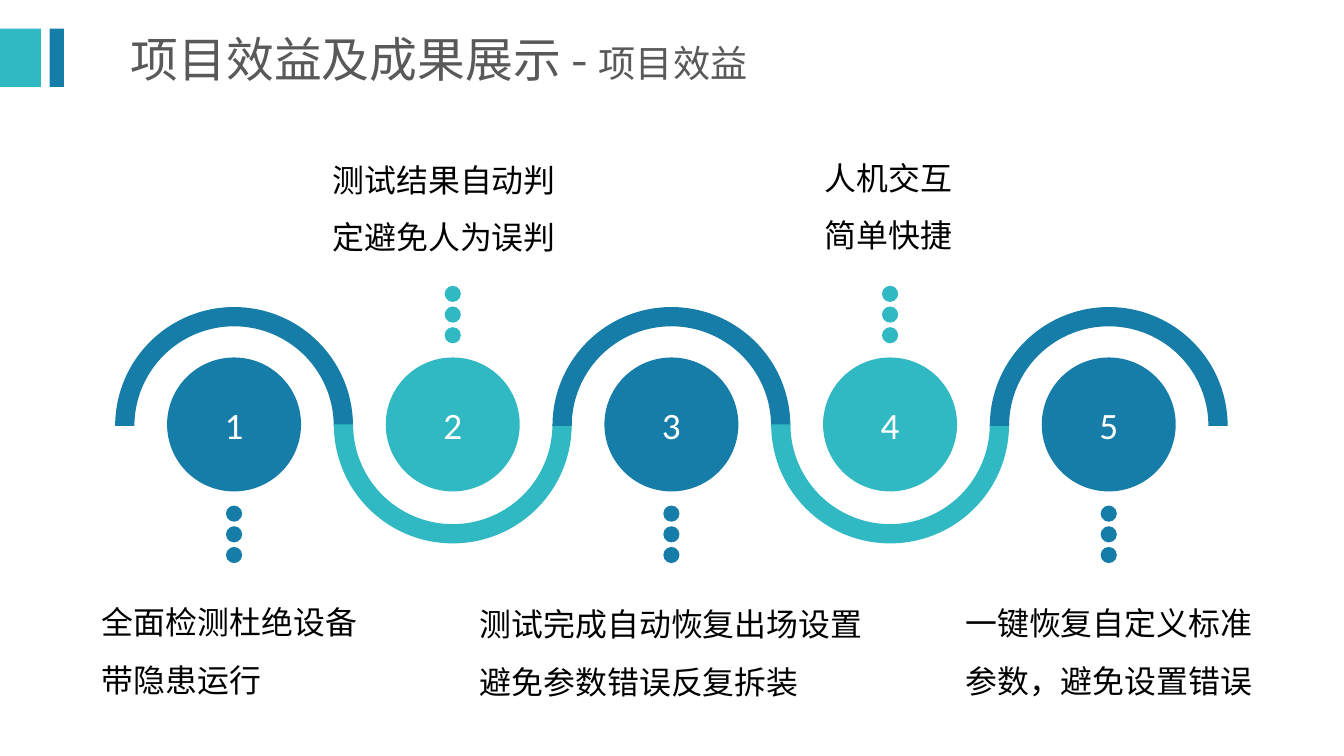
from pptx import Presentation
from pptx.dml.color import RGBColor
from pptx.enum.shapes import MSO_SHAPE as Shape
from pptx.enum.text import MSO_ANCHOR as Anchor, PP_ALIGN as Align
from pptx.util import Cm, Pt

BLUE = RGBColor(0x16, 0x7D, 0xA8)
TEAL = RGBColor(0x30, 0xB9, 0xC3)
GREY = RGBColor(0x59, 0x59, 0x59)
BLACK = RGBColor(0, 0, 0)
WHITE = RGBColor(0xFF, 0xFF, 0xFF)

FIRST_X, PITCH, MIDDLE_Y = 6.22, 5.81, 11.28
CIRCLE, ARC, DOT = 3.56, 6.32, 0.43
DOT_START, DOT_STEP = 2.37, 0.55
CAPTION_HEIGHT = 3.33

# Caption text, left, top and width in cm
STEPS = [
    ("全面检测杜绝设备带隐患运行", 2.46, 15.39, 7.42),
    ("测试结果自动判定避免人为误判", 8.59, 3.63, 6.81),
    ("测试完成自动恢复出场设置避免参数错误反复拆装", 12.5, 15.44, 10.77),
    ("人机交互简单快捷", 21.67, 3.58, 4.09),
    ("一键恢复自定义标准参数，避免设置错误", 25.4, 15.42, 8.15),
]

deck = Presentation()
deck.slide_width, deck.slide_height = Cm(35.71), Cm(20.09)
page = deck.slides.add_slide(deck.slide_layouts[6])


def add_filled(kind, left, top, width, height, color):
    shape = page.shapes.add_shape(kind, Cm(left), Cm(top), Cm(width), Cm(height))
    shape.shadow.inherit = False
    shape.fill.solid()
    shape.fill.fore_color.rgb = color
    shape.line.fill.background()
    return shape


def add_centred(kind, x, y, size, color):
    """Add a square-framed shape around the point x, y."""
    return add_filled(kind, x - size / 2, y - size / 2, size, size, color)


# Header
add_filled(Shape.RECTANGLE, 0, 0.76, 1.09, 1.55, TEAL)
add_filled(Shape.RECTANGLE, 1.32, 0.76, 0.38, 1.55, BLUE)
title = page.shapes.add_textbox(Cm(2.51), Cm(0.79), Cm(18.31), Cm(1.55))
title.text_frame.word_wrap = True
title.text_frame.vertical_anchor = Anchor.MIDDLE
para = title.text_frame.paragraphs[0]
para.alignment = Align.CENTER
para.font.name = "Noto Sans CJK SC"
para.font.color.rgb = GREY
for text, size in [("项目效益及成果展示 - ", 36), ("项目效益", 28)]:
    span = para.add_run()
    span.text = text
    span.font.size = Pt(size)

# Wave of five steps: odd ones arch over with a caption below, even ones the reverse
for index, (caption, left, top, width) in enumerate(STEPS):
    x = FIRST_X + index * PITCH
    is_odd_step = index % 2 == 0
    color = BLUE if is_odd_step else TEAL
    side = 1 if is_odd_step else -1

    arc = add_centred(Shape.BLOCK_ARC, x, MIDDLE_Y + 0.02 + 0.02 * side, ARC, color)
    arc.adjustments[0] = 108
    arc.adjustments[1] = 0
    arc.adjustments[2] = 0.081
    arc.rotation = 0 if is_odd_step else 180

    for dot in range(3):
        y = MIDDLE_Y + side * (DOT_START + dot * DOT_STEP)
        add_centred(Shape.OVAL, x, y, DOT, color)

    circle = add_centred(Shape.OVAL, x, MIDDLE_Y, CIRCLE, color)
    circle.text_frame.vertical_anchor = Anchor.MIDDLE
    para = circle.text_frame.paragraphs[0]
    para.text = str(index + 1)
    para.alignment = Align.CENTER
    para.font.name = "Calibri"
    para.font.size = Pt(28)
    para.font.color.rgb = WHITE

    box = page.shapes.add_textbox(Cm(left), Cm(top), Cm(width), Cm(CAPTION_HEIGHT))
    box.text_frame.word_wrap = True
    para = box.text_frame.paragraphs[0]
    para.text = caption
    para.line_spacing = 1.5
    para.font.name = "Calibri"
    para.font.size = Pt(24)
    para.font.color.rgb = BLACK

deck.save("out.pptx")
